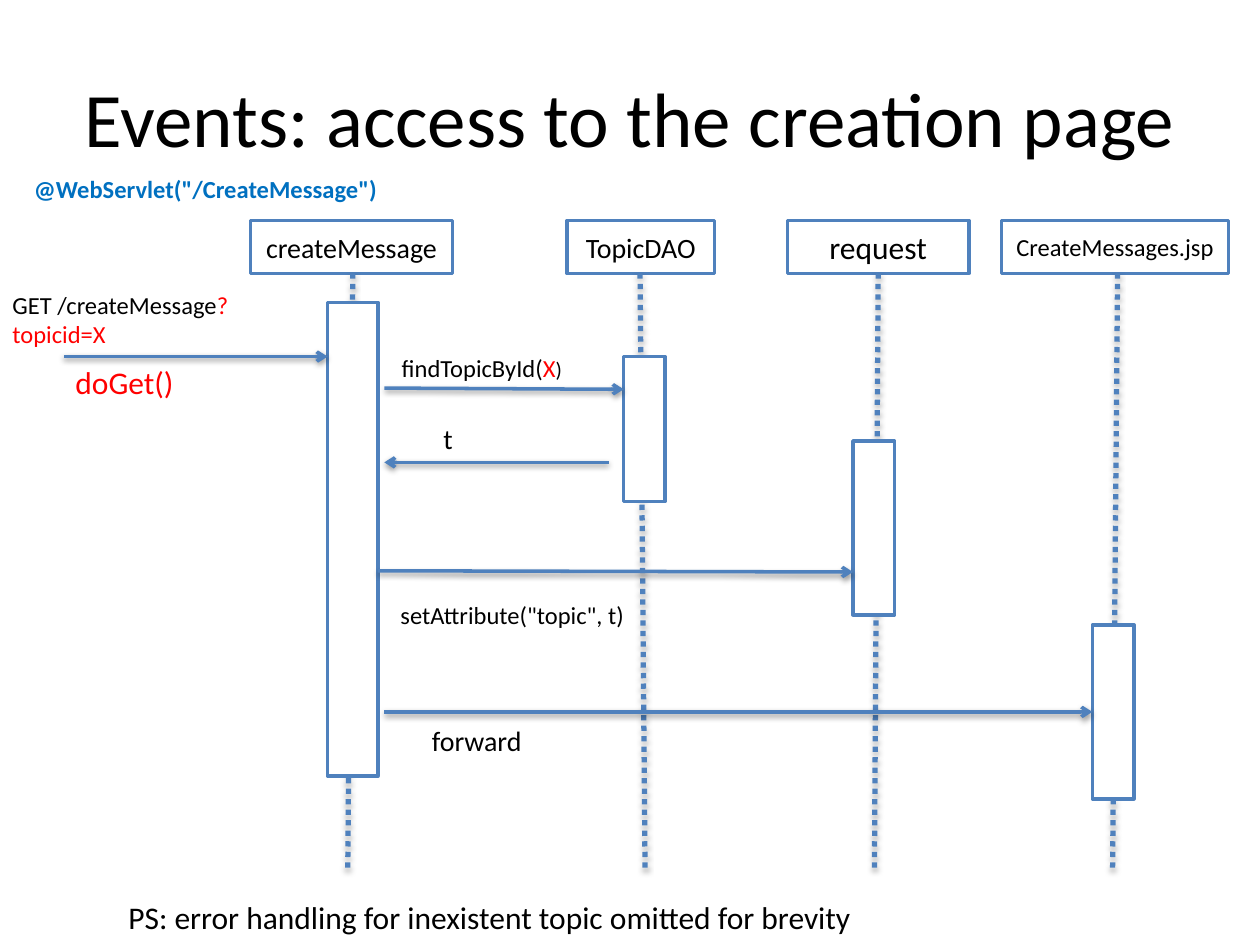
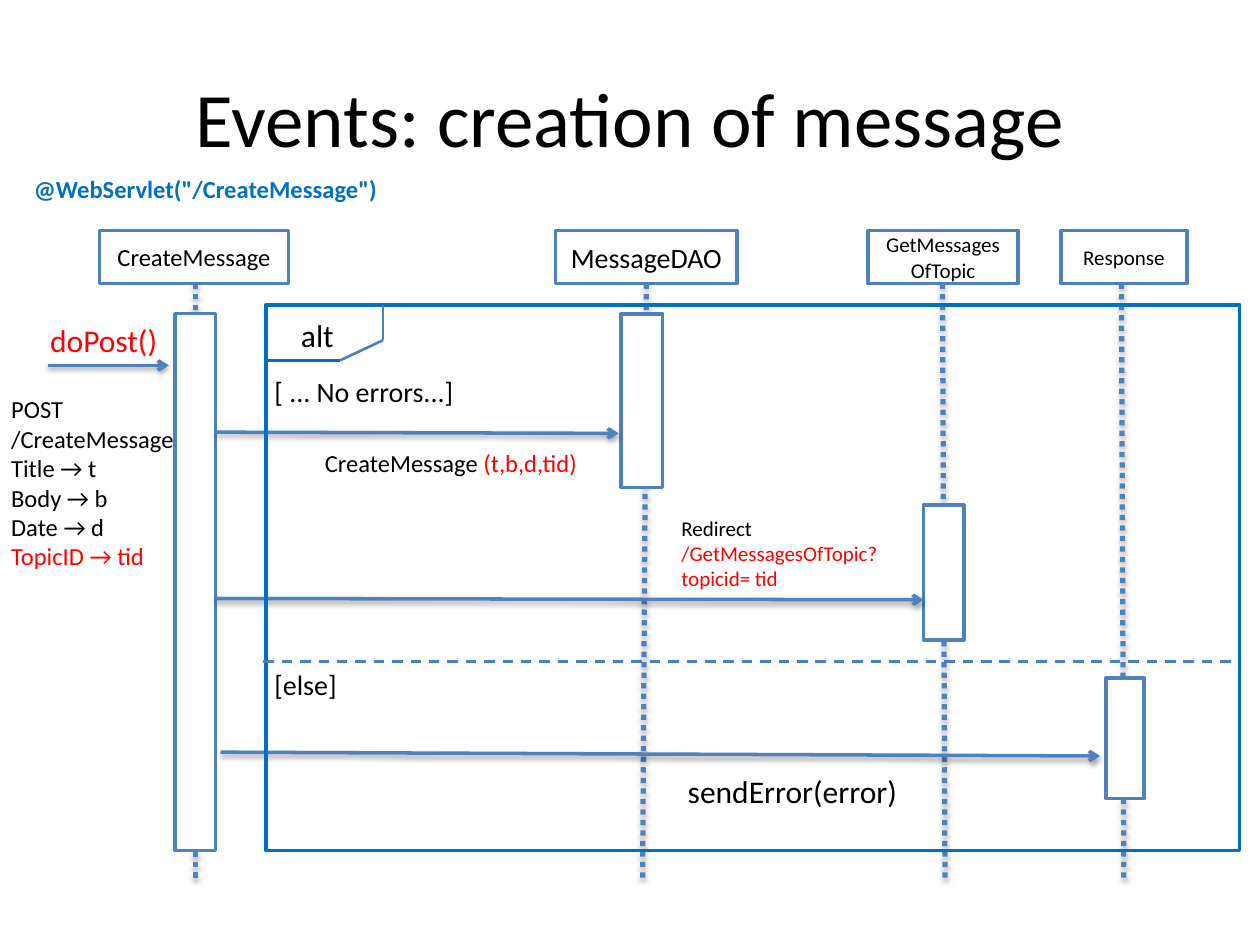
import pptx
import pptx.dml.color
import pptx.enum.dml
import pptx.enum.shapes
import pptx.enum.text
import pptx.oxml
import pptx.oxml.ns
import pptx.util

PX = 9144
FONT = "Calibri"
BLACK, RED, WHITE = "000000", "FF0000", "FFFFFF"
BLUE, FRAME_BLUE, EDGE_BLUE = "4F81BD", "0070C0", "4B7EBC"
HEAD_HEIGHT = 42
LIFELINE_LENGTH = 475
CENTER = pptx.enum.text.PP_ALIGN.CENTER
MIDDLE = pptx.enum.text.MSO_ANCHOR.MIDDLE
DASH = pptx.enum.dml.MSO_LINE.DASH
DOTS = pptx.enum.dml.MSO_LINE.ROUND_DOT
SHADOW = (
    '<a:effectLst %s><a:outerShdw blurRad="40000" dist="%d" dir="5400000" rotWithShape="0">'
    '<a:srgbClr val="000000"><a:alpha val="%d"/></a:srgbClr></a:outerShdw></a:effectLst>'
)


def px(*lengths):
    return [pptx.util.Emu(length * PX) for length in lengths]


def color(hex_code):
    return pptx.dml.color.RGBColor.from_string(hex_code)


def set_font(font, size, hex_code, bold=None):
    font.name = FONT
    font.size = pptx.util.Pt(size)
    font.color.rgb = color(hex_code)
    font.bold = bold


def add_runs(p, runs, size, hex_code, bold=None):
    set_font(p.font, size, hex_code, bold)
    for text, *override in runs:
        for i, part in enumerate(text.split("\n")):
            if i:
                p.add_line_break()
            r = p.add_run()
            r.text = part
            if override:
                set_font(r.font, override[1] if len(override) > 1 else size, override[0], bold)


def add_label(s, left, top, width, height, size, *paragraphs, hex_code=BLACK, bold=None):
    tf = s.shapes.add_textbox(*px(left, top, width, height)).text_frame
    tf.word_wrap = False
    for i, runs in enumerate(paragraphs):
        p = tf.add_paragraph() if i else tf.paragraphs[0]
        add_runs(p, [(runs,)] if isinstance(runs, str) else runs, size, hex_code, bold)


def add_box(s, left, top, width, height, line=BLUE, fill=WHITE):
    sp = s.shapes.add_shape(pptx.enum.shapes.MSO_SHAPE.RECTANGLE, *px(left, top, width, height))
    sp.shadow.inherit = False
    if fill:
        sp.fill.solid()
        sp.fill.fore_color.rgb = color(fill)
    else:
        sp.fill.background()
    sp.line.color.rgb = color(line)
    sp.line.width = pptx.util.Pt(2)
    return sp


def add_line(s, start, end, hex_code=BLUE, width=1.5, dash=None, arrow=False, shadow=None):
    straight = pptx.enum.shapes.MSO_CONNECTOR.STRAIGHT
    cxn = s.shapes.add_connector(straight, *px(*start, *end))
    cxn.line.color.rgb = color(hex_code)
    cxn.line.width = pptx.util.Pt(width)
    if dash:
        cxn.line.dash_style = dash
    ns = pptx.oxml.ns.nsdecls("a")
    if arrow:
        ln = cxn.line._get_or_add_ln()
        ln.append(pptx.oxml.parse_xml(f'<a:tailEnd {ns} type="arrow"/>'))
    effect = SHADOW % (ns, *shadow) if shadow else f"<a:effectLst {ns}/>"
    cxn._element.spPr.append(pptx.oxml.parse_xml(effect))


def add_message(s, start, end):
    add_line(s, start, end, width=2, arrow=True, shadow=(20000, 38000))


def add_participant(s, top, name, size, left, width, axis, bar):
    sp = add_box(s, left, top, width, HEAD_HEIGHT)
    tf = sp.text_frame
    tf.word_wrap = True
    tf.vertical_anchor = MIDDLE
    p = tf.paragraphs[0]
    p.alignment = CENTER
    add_runs(p, [(name,)], size, BLACK)
    below = top + HEAD_HEIGHT
    add_line(s, (axis[0], below), (axis[1], below + LIFELINE_LENGTH),
             width=3, dash=DOTS, shadow=(23000, 35000))
    add_box(s, *bar)


def add_sequence_slide(prs, title, top, participants, messages):
    s = prs.slides.add_slide(prs.slide_layouts[5])
    sp = s.shapes.title
    sp.left, sp.top, sp.width, sp.height = px(50, 30, 900, 125)
    sp.text_frame.vertical_anchor = MIDDLE
    p = sp.text_frame.paragraphs[0]
    p.alignment = CENTER
    add_runs(p, [(title,)], 44, BLACK)
    add_label(s, 17, 133, 294, 34, 14, '@WebServlet("/CreateMessage")',
              hex_code=FRAME_BLUE, bold=True)
    for participant in participants:
        add_participant(s, top, *participant)
    for start, end in messages:
        add_message(s, start, end)
    return s


def add_alt_frame(s, left, top, width, height, divider):
    add_box(s, left, top, width, height, line=FRAME_BLUE, fill=None)
    add_line(s, (left - 2, divider), (left + width - 1, divider), EDGE_BLUE, dash=DASH)
    corners = [(left, top + 44), (left + 59, top + 44), (left + 93, top + 28), (left + 93, top)]
    for start, end, hex_code in zip(corners, corners[1:], (FRAME_BLUE, EDGE_BLUE, EDGE_BLUE)):
        add_line(s, start, end, hex_code)
    add_label(s, left + 18, top + 4, 46, 40, 18, "alt")
    add_label(s, left - 3, top + 50, 164, 37, 16, "[ ... No errors...]")
    add_label(s, left - 3, divider, 70, 37, 16, "[else]")


def add_access_slide(prs):
    participants = [
        ("createMessage", 16, 199, 160, (280, 276), (260, 240, 40, 376)),
        ("TopicDAO", 16, 450, 117, (508, 512), (495, 283, 33, 115)),
        ("request", 18, 625, 144, (697, 694), (677, 350, 33, 138)),
        ("CreateMessages.jsp", 14, 795, 180, (887, 883), (867, 496, 33, 138)),
    ]
    messages = [
        ((51, 283), (260, 283)),
        ((305, 308), (495, 309)),
        ((483, 367), (305, 367)),
        ((300, 453), (677, 454)),
        ((305, 565), (867, 565)),
    ]
    s = add_sequence_slide(prs, "Events: access to the creation page", 175, participants, messages)
    add_label(s, 0, 225, 265, 34, 14, [("GET /createMessage",), ("?topicid=X", RED)])
    add_label(s, 50, 283, 99, 40, 18, "doGet()", hex_code=RED)
    add_label(s, 309, 275, 147, 34, 14, [("findTopicById(",), ("X", RED), (")", BLACK, 12)])
    add_label(s, 342, 330, 28, 37, 16, "t")
    add_label(s, 308, 471, 200, 34, 14, 'setAttribute("topic", t)')
    add_label(s, 333, 569, 92, 37, 16, "forward")
    add_label(s, 92, 708, 601, 40, 18,
              "PS: error handling for inexistent topic omitted for brevity")


def add_creation_slide(prs):
    participants = [
        ("CreateMessage", 14, 79, 150, (155, 155), (139, 249, 32, 426)),
        ("MessageDAO", 16, 441, 144, (513, 510), (493, 249, 33, 138)),
        ("GetMessages\nOfTopic", 12, 689, 119, (748, 750), (733, 401, 32, 107)),
        ("Response", 12, 842, 100, (890, 892), (878, 538, 30, 96)),
    ]
    messages = [
        ((38, 290), (134, 290)),
        ((171, 343), (491, 344)),
        ((171, 475), (733, 476)),
        ((175, 597), (873, 600)),
    ]
    s = add_sequence_slide(prs, "Events: creation of message", 183, participants, messages)
    add_alt_frame(s, 211, 242, 773, 433, 525)
    add_label(s, 30, 250, 106, 40, 18, "doPost()", hex_code=RED)
    add_label(s, -1, 308, 151, 151, 14, "POST\n/CreateMessage", "Title → t", "Body → b",
              "Date → d", [("TopicID → tid", RED)])
    add_label(s, 248, 351, 220, 34, 14, [("CreateMessage ",), ("(t,b,d,tid)", RED)])
    add_label(s, 531, 404, 178, 71, 12,
              [("Redirect\n",), ("/GetMessagesOfTopic?\ntopicid= tid", RED)])
    add_label(s, 536, 608, 188, 40, 18, "sendError(error)")


def main():
    prs = pptx.Presentation()
    prs.slide_width, prs.slide_height = px(1000, 750)
    add_access_slide(prs)
    add_creation_slide(prs)
    prs.save("out.pptx")


if __name__ == "__main__":
    main()
